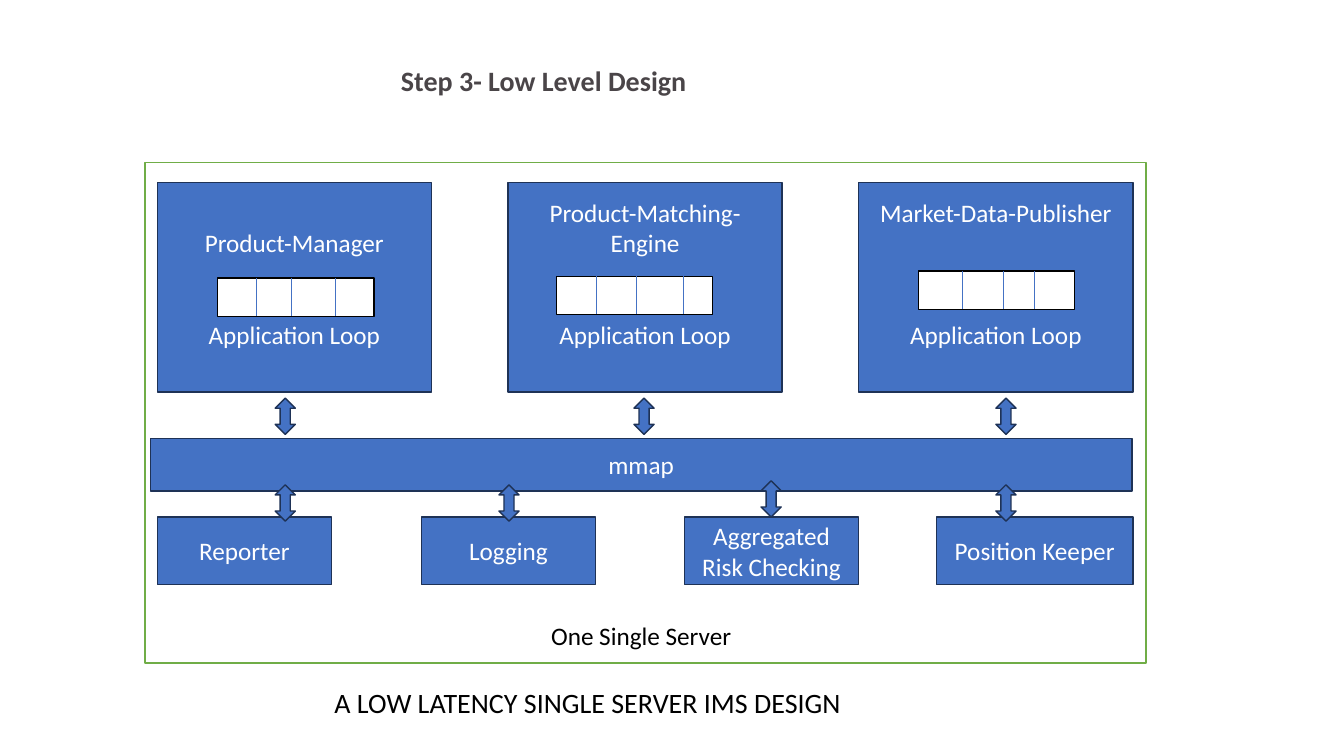
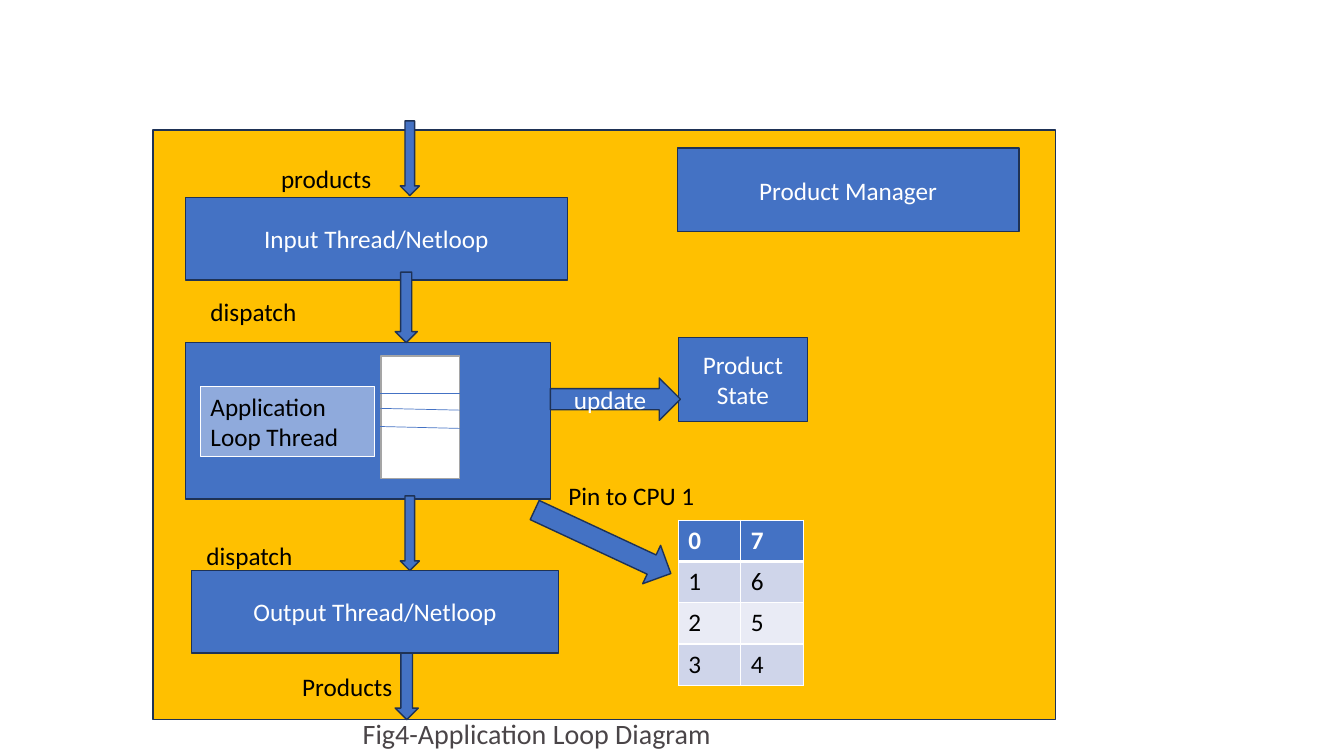
"""Build two slides on a low latency single server design."""
from lxml import etree
from pptx import Presentation
from pptx import util as u
from pptx.dml.color import RGBColor
from pptx.enum import shapes, text
from pptx.oxml.ns import qn

BLUE = RGBColor(0x44, 0x72, 0xC4)
NAVY = RGBColor(0x1E, 0x32, 0x56)
PALE = RGBColor(0x8F, 0xAA, 0xDC)
GREEN = RGBColor(0x70, 0xAD, 0x47)
GOLD = RGBColor(0xFF, 0xC0, 0x00)
GREY = RGBColor(0xA5, 0xA5, 0xA5)
INK = RGBColor(0x4A, 0x45, 0x48)
WHITE = RGBColor(0xFF, 0xFF, 0xFF)
BLACK = RGBColor(0, 0, 0)
BAND = (RGBColor(0xE9, 0xEB, 0xF5), RGBColor(0xCF, 0xD5, 0xEA))

WIDE, HIGH = u.Inches(13.333), u.Inches(7.5)
COLS, ROWS = 80, 45
RECT = shapes.MSO_SHAPE.RECTANGLE
DOWN = shapes.MSO_SHAPE.DOWN_ARROW
BOTH = shapes.MSO_SHAPE.UP_DOWN_ARROW
RIGHT = shapes.MSO_SHAPE.RIGHT_ARROW
MID, TOP, BASE = (text.MSO_ANCHOR.MIDDLE, text.MSO_ANCHOR.TOP,
                  text.MSO_ANCHOR.BOTTOM)
LEFT, CENTER = text.PP_ALIGN.LEFT, text.PP_ALIGN.CENTER


def grid(x, y):
    return round(x * WIDE / COLS), round(y * HIGH / ROWS)


def apply(item, form):
    for key, val in form.items():
        setattr(item, key, val)


class Deck:
    """Holds the shared style and the current slide."""

    def __init__(self):
        self.file = Presentation()
        apply(self.file, {"slide_width": WIDE, "slide_height": HIGH})

    def page(self):
        self.slide = self.file.slides.add_slide(self.file.slide_layouts[6])

    def letter(self, frame, words, color, align=LEFT, anchor=TOP, size=18,
               bold=False, gap=0):
        apply(frame, {"word_wrap": True, "vertical_anchor": anchor})
        frame.text = words
        for part in frame.paragraphs:
            part.alignment = align
            apply(part.font, {"name": "Calibri", "size": u.Pt(size),
                              "bold": bold})
            part.font.color.rgb = color
        if gap:
            frame.paragraphs[-1].space_before = u.Pt(gap)

    def shape(self, x, y, w, h, words="", kind=RECT, fill=BLUE, edge=NAVY,
              wide=1, turn=0, color=WHITE, align=CENTER, anchor=MID, **form):
        item = self.slide.shapes.add_shape(kind, *grid(x, y), *grid(w, h))
        item.shadow.inherit = False
        item.fill.solid()
        item.fill.fore_color.rgb = fill
        item.line.color.rgb = edge
        item.line.width = u.Pt(wide)
        item.rotation = turn
        if words:
            self.letter(item.text_frame, words, color, align, anchor, **form)
        return item

    def label(self, x, y, words, w=12, color=BLACK, **form):
        box = self.slide.shapes.add_textbox(*grid(x, y), *grid(w, 2.4))
        self.letter(box.text_frame, words, color, **form)

    def line(self, x, y, to_x, to_y):
        item = self.slide.shapes.add_connector(
            shapes.MSO_CONNECTOR.STRAIGHT, *grid(x, y), *grid(to_x, to_y))
        item.line.color.rgb = BLUE
        item.line.width = u.Pt(0.5)
        etree.SubElement(item._element.spPr, qn("a:effectLst"))

    def queue(self, x, y, cuts):
        w, h = 9.3, 2.28
        self.shape(x, y, w, h, fill=WHITE, edge=BLACK)
        for cut in cuts:
            self.line(x + cut, y, x + cut, y + h)

    def border(self, cell, head):
        for side in "LRTB":
            wide = 3 if head and side == "B" else 1
            edge = etree.SubElement(cell._tc.get_or_add_tcPr(),
                                    qn("a:ln" + side), w=str(u.Pt(wide)))
            fill = etree.SubElement(edge, qn("a:solidFill"))
            etree.SubElement(fill, qn("a:srgbClr"), val=str(WHITE))

    def table(self, x, y, w, h, data):
        size = len(data), len(data[0])
        table = self.slide.shapes.add_table(
            *size, *grid(x, y), *grid(w * size[1], h * size[0])).table
        for col in table.columns:
            col.width = grid(w, h)[0]
        for r, row in enumerate(data):
            table.rows[r].height = grid(w, h)[1]
            for c, words in enumerate(row):
                cell, head = table.cell(r, c), r == 0
                self.letter(cell.text_frame, words, WHITE if head else BLACK,
                            bold=head)
                self.border(cell, head)
                cell.fill.solid()
                cell.fill.fore_color.rgb = BLUE if head else BAND[r % 2]


def server(deck):
    deck.page()
    deck.shape(8.64, 9.66, 59.58, 29.82, fill=WHITE, edge=GREEN)
    deck.label(23.28, 3.5, "Step 3- Low Level Design", 30, INK, size=20,
               bold=True)
    cards = (("Product-Manager", 44), ("Product-Matching-Engine", 44),
             ("Market-Data-Publisher", 66))
    for i, (name, gap) in enumerate(cards):
        card = deck.shape(9.36 + 20.88 * i, 10.86, 16.32, 12.48,
                          name + "\nApplication Loop", anchor=BASE, gap=gap)
        card.text_frame.margin_bottom = grid(0, 2.52)[1]
    deck.shape(8.94, 26.1, 58.44, 3.12, "mmap")
    for x, w, name in ((9.36, 10.38, "Reporter"), (25.08, 10.38, "Logging"),
                       (40.74, 10.38, "Aggregated Risk Checking"),
                       (55.74, 11.7, "Position Keeper")):
        deck.shape(x, 30.78, w, 4.02, name)
    for x, y in ((16.38, 23.7), (37.74, 23.7), (59.28, 23.7), (16.38, 28.86),
                 (29.7, 28.86), (45.3, 28.62), (59.28, 28.86)):
        deck.shape(x, y, 1.2, 2.16, kind=BOTH)
    deck.queue(12.96, 16.56, (2.31, 4.41, 6.99))
    deck.queue(33.12, 16.44, (2.4, 4.74, 7.56))
    deck.queue(54.66, 16.14, (2.64, 5.07, 6.93))
    deck.label(32.22, 36.6, "One Single Server", 20)
    deck.label(19.32, 40.5, "A LOW LATENCY SINGLE SERVER IMS DESIGN", 50,
               size=20)


def loop(deck):
    deck.page()
    deck.shape(9.12, 7.74, 53.7, 35.1, fill=GOLD)
    for x, y, w, h, name in (
            (11.04, 11.76, 22.74, 4.92, "Input Thread/Netloop"),
            (11.04, 20.4, 21.72, 9.3, ""),
            (11.4, 33.96, 21.84, 4.92, "Output Thread/Netloop"),
            (40.32, 8.82, 20.34, 4.98, "Product Manager"),
            (40.38, 20.1, 7.68, 4.98, "Product State")):
        deck.shape(x, y, w, h, name)
    deck.shape(22.68, 21.18, 4.68, 7.32, fill=WHITE, edge=GREY)
    for y, to_x, to_y in ((23.4, 27.6, 23.4), (24.3, 27.6, 24.42),
                          (25.38, 27.36, 25.5)):
        deck.line(22.32, y, to_x, to_y)
    deck.shape(11.94, 22.98, 10.38, 4.2, "Application Loop Thread", fill=PALE,
               edge=WHITE, wide=0.75, color=BLACK, align=LEFT, anchor=TOP)
    for x, y, w, h, turn in (
            (23.82, 7.2, 1.14, 4.44, 0), (23.52, 16.2, 1.32, 4.2, 0),
            (23.82, 29.52, 1.14, 4.44, 0), (23.52, 38.88, 1.38, 3.96, 0),
            (34.62, 27.78, 2.52, 8.94, 295)):
        deck.shape(x, y, w, h, kind=DOWN, turn=turn)
    deck.shape(32.76, 22.5, 7.74, 2.52, "update", RIGHT)
    for x, y, name in ((16.14, 9.42, "products"), (11.94, 17.34, "dispatch"),
                       (11.7, 31.86, "dispatch"), (17.4, 39.66, "Products"),
                       (33.24, 28.32, "Pin to CPU 1")):
        deck.label(x, y, name)
    deck.table(40.38, 30.96, 3.72, 2.46,
               (("0", "7"), ("1", "6"), ("2", "5"), ("3", "4")))
    deck.label(21, 42.36, "Fig4-Application Loop Diagram", 36, INK, size=20)


def main():
    deck = Deck()
    server(deck)
    loop(deck)
    deck.file.save("out.pptx")


if __name__ == "__main__":
    main()
